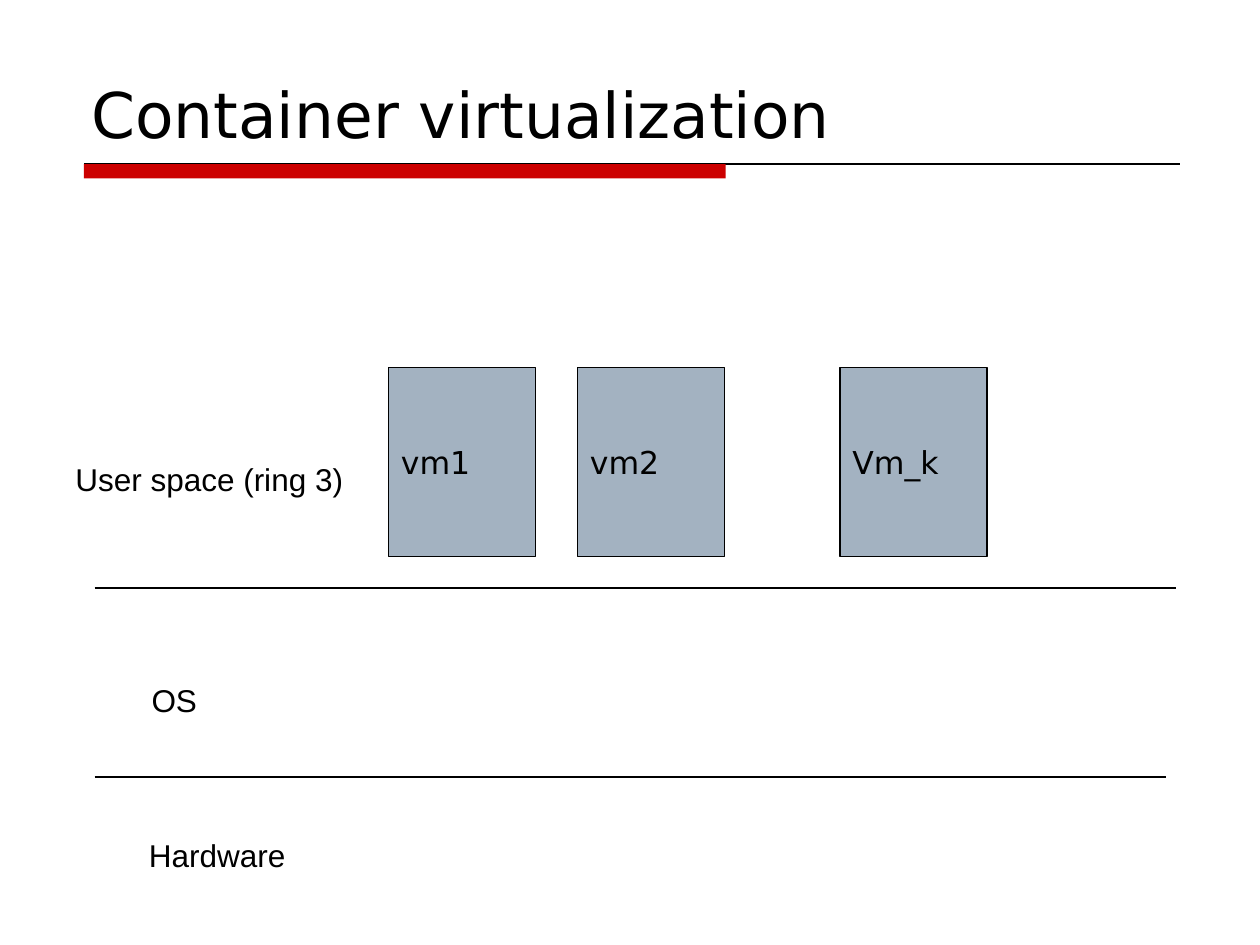
from dataclasses import dataclass

from lxml.etree import SubElement
from pptx import Presentation
from pptx.dml.color import RGBColor
from pptx.enum.shapes import MSO_CONNECTOR, MSO_SHAPE
from pptx.enum.text import MSO_ANCHOR, MSO_AUTO_SIZE, PP_ALIGN
from pptx.oxml.ns import qn
from pptx.util import Emu, Pt

PX = 9525


@dataclass(frozen=True)
class Theme:
    ink: RGBColor = RGBColor(0x00, 0x00, 0x00)
    accent: RGBColor = RGBColor(0xCC, 0x00, 0x00)
    machine: RGBColor = RGBColor(0xA3, 0xB2, 0xC1)
    heading_font: str = "DejaVu Sans"
    label_font: str = "Arial"
    title_size: Pt = Pt(36)
    body_size: Pt = Pt(18)
    line_width: Pt = Pt(0.75)


THEME = Theme()


def px(*lengths):
    return [Emu(length * PX) for length in lengths]


def apply_format(target, values):
    for name, value in values.items():
        setattr(target, name, value)


def write(frame, text, font, size, **frame_format):
    apply_format(frame, {"auto_size": MSO_AUTO_SIZE.NONE, **frame_format})
    para = frame.paragraphs[0]
    para.alignment = PP_ALIGN.LEFT
    span = para.add_run()
    span.text = text
    apply_format(span.font, {"name": font, "size": size})
    span.font.color.rgb = THEME.ink


def add_rule(page, left, top, width):
    rule = page.shapes.add_connector(
        MSO_CONNECTOR.STRAIGHT, *px(left, top, left + width, top)
    )
    rule.line.color.rgb = THEME.ink
    rule.line.width = THEME.line_width
    SubElement(rule._element.spPr, qn("a:effectLst"))


def add_rectangle(page, box, fill):
    rectangle = page.shapes.add_shape(MSO_SHAPE.RECTANGLE, *px(*box))
    rectangle.shadow.inherit = False
    rectangle.fill.solid()
    rectangle.fill.fore_color.rgb = fill
    return rectangle


def add_label(page, text, left, top, width):
    label = page.shapes.add_textbox(*px(left, top, width, 38))
    write(label.text_frame, text, THEME.label_font, THEME.body_size,
          word_wrap=False, auto_size=MSO_AUTO_SIZE.SHAPE_TO_FIT_TEXT)


def add_machine(page, text, box):
    machine = add_rectangle(page, box, THEME.machine)
    machine.line.color.rgb = THEME.ink
    machine.line.width = THEME.line_width
    write(machine.text_frame, text, THEME.heading_font, THEME.body_size,
          word_wrap=True, vertical_anchor=MSO_ANCHOR.MIDDLE)


def add_header(page, text, box):
    left, top, width, height = box
    title = page.shapes.title
    apply_format(title, dict(zip(("left", "top", "width", "height"), px(*box))))
    write(title.text_frame, text, THEME.heading_font, THEME.title_size,
          word_wrap=True, vertical_anchor=MSO_ANCHOR.BOTTOM)
    rule_left, rule_top = left + 4, top + height + 5
    add_rule(page, rule_left, rule_top, 835)
    bar = add_rectangle(page, (rule_left, rule_top, 489, 11), THEME.accent)
    bar.line.fill.background()


def add_user_space(page, box):
    left, top, width, height = box
    add_label(page, "User space (ring 3)", left - 24, top + 66, 239)
    for text, offset in (("vm1", 224), ("vm2", 368), ("Vm_k", 568)):
        add_machine(page, text, (left + offset, top, 112, 144))
    add_rule(page, left, top + height, width)


def add_system(page, box):
    left, top, width, height = box
    add_label(page, "OS", left + 34, top + 66, 55)
    add_rule(page, left, top + height, width)


def add_hardware(page, box):
    left, top, width, height = box
    add_label(page, "Hardware", left + 32, top + 40, 125)


def main():
    deck = Presentation()
    deck.slide_width, deck.slide_height = px(960, 720)
    page = deck.slides.add_slide(deck.slide_layouts[5])
    add_header(page, "Container virtualization", (60, 8, 840, 112))
    add_user_space(page, (72, 280, 824, 168))
    add_system(page, (72, 448, 816, 144))
    add_hardware(page, (72, 592, 816, 128))
    deck.save("out.pptx")


if __name__ == "__main__":
    main()
